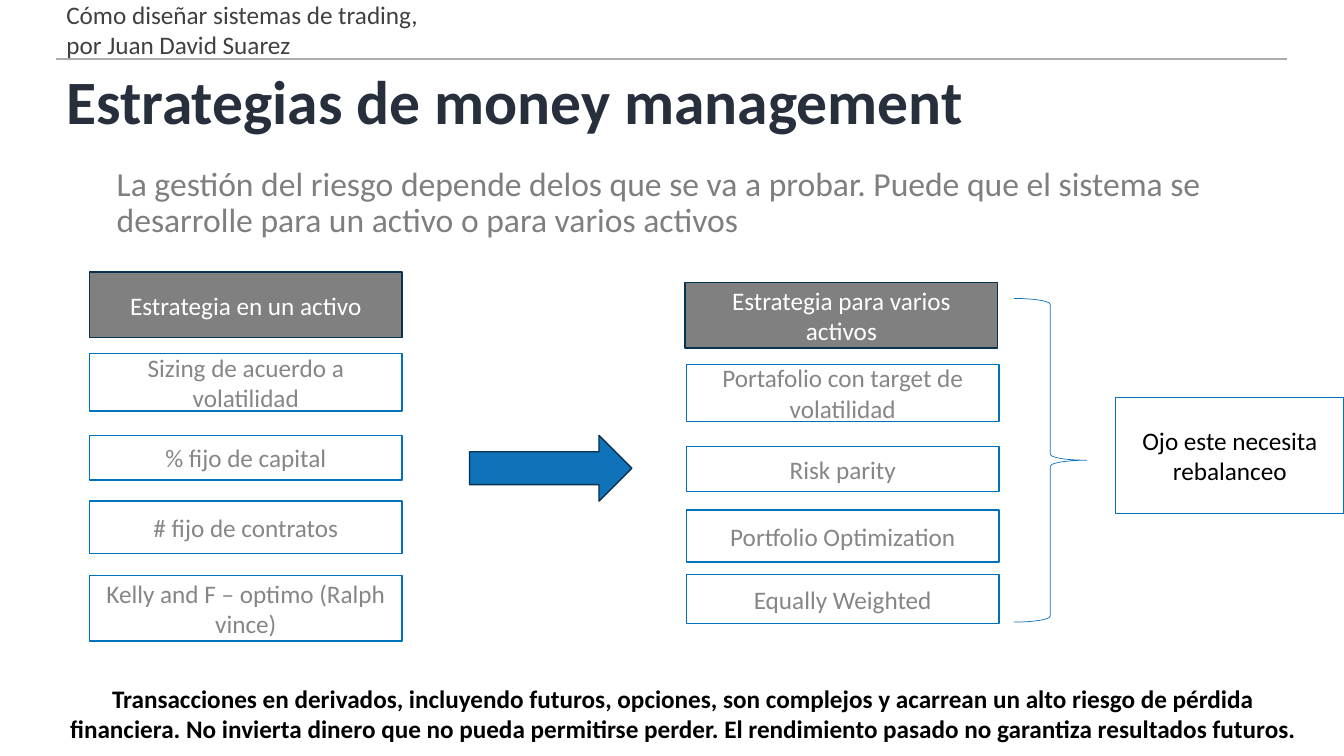
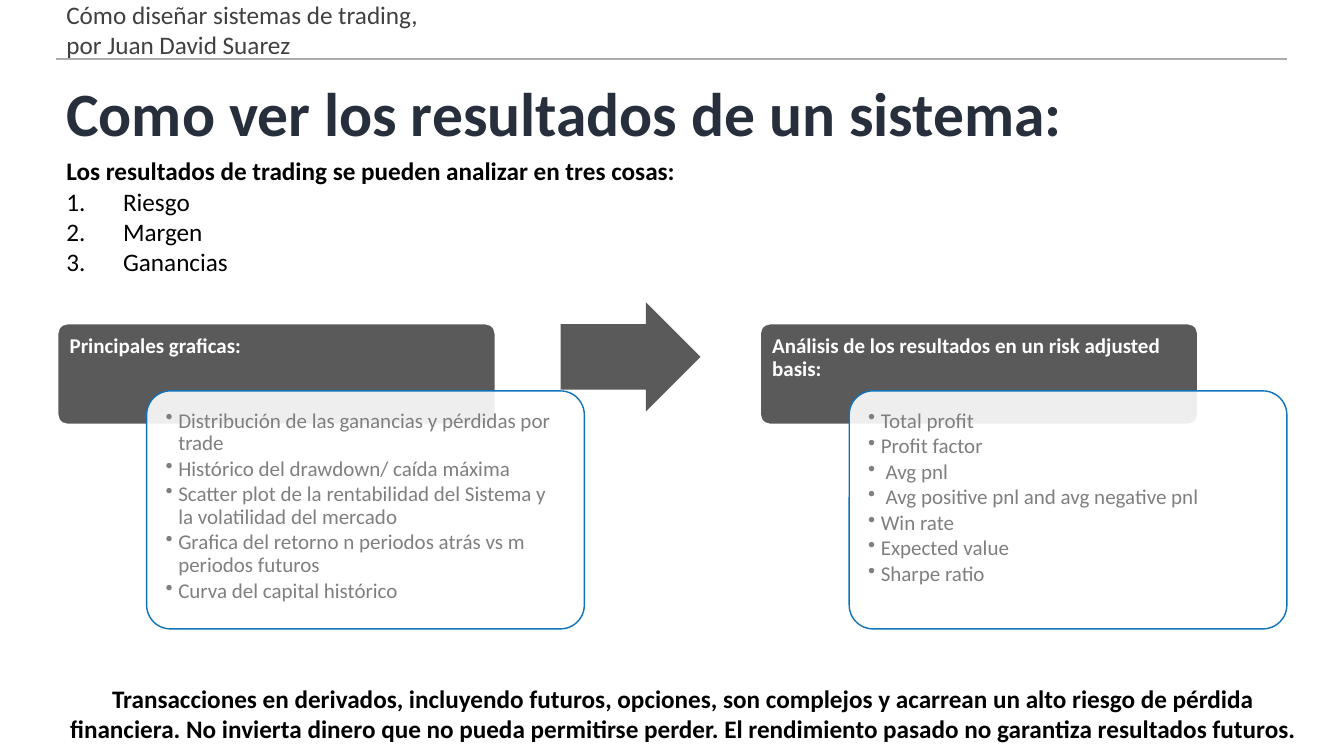
from lxml.etree import SubElement
from pptx import Presentation
from pptx.dml.color import RGBColor
from pptx.enum.shapes import MSO_CONNECTOR, MSO_SHAPE
from pptx.enum.text import MSO_ANCHOR, PP_ALIGN
from pptx.oxml.ns import qn
from pptx.util import Pt

FONT = "Calibri"
BLACK, WHITE = "000000", "FFFFFF"
HEADER_GRAY, RULE_GRAY, TITLE_NAVY = "404040", "AFABAB", "262F3B"
BODY_GRAY, LABEL_GRAY, HEADING_GRAY, CARD_GRAY = "7F7F7F", "868686", "808080", "5A5A5A"
OUTLINE_BLUE, ACCENT_BLUE, DARK_BLUE = "0071BD", "1073BA", "073252"
LEFT, CONTENT_WIDTH = 40.3, 878.4

HEADER = "Cómo diseñar sistemas de trading, por Juan David Suarez"
DISCLAIMER = (
    "Transacciones en derivados, incluyendo futuros, opciones, son complejos y acarrean "
    "un alto riesgo de pérdida financiera. No invierta dinero que no pueda permitirse "
    "perder. El rendimiento pasado no garantiza resultados futuros."
)

MONEY_TITLE = "Estrategias de money management"
MONEY_INTRO = (
    "La gestión del riesgo depende delos que se va a probar. Puede que el sistema "
    "se desarrolle para un activo o para varios activos"
)
STRATEGY_WIDTH, STRATEGY_HEADING_HEIGHT = 223.2, 46.8
# Each strategy: label, top, height
STRATEGIES = [
    {
        "heading": "Estrategia en un activo", "heading_at": (64, 194.4), "left": 64,
        "items": [
            ("Sizing de acuerdo a volatilidad", 252.6, 41),
            ("% fijo de capital", 311, 32),
            ("# fijo de contratos", 358, 37.4),
            ("Kelly and F – optimo (Ralph vince)", 411, 46.8),
        ],
    },
    {
        "heading": "Estrategia para varios activos", "heading_at": (489.4, 201.8), "left": 490.4,
        "items": [
            ("Portafolio con target de volatilidad", 260.2, 41),
            ("Risk parity", 319, 32),
            ("Portfolio Optimization", 364.2, 37.4),
            ("Equally Weighted", 410.4, 35),
        ],
    },
]
REBALANCE_NOTE = "Ojo este necesita rebalanceo"

RESULTS_TITLE = "Como ver los resultados de un sistema:"
RESULTS_INTRO = "Los resultados de trading se pueden analizar en tres cosas:"
RESULTS_ASPECTS = ["Riesgo", "Margen", "Ganancias"]
RESULT_CARDS = [
    ("Principales graficas:", [
        "Distribución de las ganancias y pérdidas por trade",
        "Histórico del drawdown/ caída máxima",
        "Scatter plot de la rentabilidad del Sistema y la volatilidad del mercado",
        "Grafica del retorno n periodos atrás vs m periodos futuros",
        "Curva del capital histórico",
    ]),
    ("Análisis de los resultados en un risk adjusted basis:", [
        "Total profit",
        "Profit factor",
        " Avg pnl",
        " Avg positive pnl and avg negative pnl",
        "Win rate",
        "Expected value",
        "Sharpe ratio",
    ]),
]
CARD_TOP, CARD_WIDTH, CARD_PITCH = 231.2, 312.6, 501.8
CARD_HEAD_HEIGHT, CARD_LIST_HEIGHT = 72, 170
LIST_SHIFT_X, LIST_SHIFT_Y = 63.6, 48


def color(hex_string):
    return RGBColor.from_string(hex_string)


def set_frame(shape, anchor, insets=(7.2, 3.6, 7.2, 3.6)):
    frame = shape.text_frame
    frame.word_wrap = True
    frame.vertical_anchor = anchor
    frame.margin_left, frame.margin_top, frame.margin_right, frame.margin_bottom = map(Pt, insets)
    return frame


def write(frame, texts, size, hex_color, bold=False, align=PP_ALIGN.LEFT,
          spacing=None, after=0, marker=None, hang=0):
    """Write one paragraph per text, after any already there.

    marker is a bullet character, or "1." for automatic numbers.
    """
    for text in texts:
        first = frame.paragraphs[0]
        para = frame.add_paragraph() if first.runs else first
        para.alignment = align
        if spacing:
            para.line_spacing = spacing
        para.space_after = Pt(after)
        if marker:
            properties = para._p.get_or_add_pPr()
            properties.set("marL", str(Pt(hang)))
            properties.set("indent", str(-Pt(hang)))
            if marker == "1.":
                SubElement(properties, qn("a:buAutoNum"), type="arabicPeriod")
            else:
                SubElement(properties, qn("a:buChar"), char=marker)
        span = para.add_run()
        span.text = text
        span.font.name = FONT
        span.font.size = Pt(size)
        span.font.bold = bold
        span.font.color.rgb = color(hex_color)


def add_text(page, place, anchor=MSO_ANCHOR.MIDDLE):
    return set_frame(page.shapes.add_textbox(*map(Pt, place)), anchor)


def add_shape(page, kind, place, fill=None, line=None, line_width=1):
    shape = page.shapes.add_shape(kind, *map(Pt, place))
    shape.shadow.inherit = False
    if fill:
        shape.fill.solid()
        shape.fill.fore_color.rgb = color(fill)
    else:
        shape.fill.background()
    if line:
        shape.line.color.rgb = color(line)
        shape.line.width = Pt(line_width)
    else:
        shape.line.fill.background()
    return shape


def add_label_box(page, text, place, text_color, line, fill=None):
    box = add_shape(page, MSO_SHAPE.RECTANGLE, place, fill, line)
    write(set_frame(box, MSO_ANCHOR.MIDDLE), [text], 18, text_color, align=PP_ALIGN.CENTER)


def add_page(deck, title, title_height):
    """Add a slide with the shared header, rule, disclaimer and title."""
    page = deck.slides.add_slide(deck.slide_layouts[6])
    rule = page.shapes.add_connector(MSO_CONNECTOR.STRAIGHT, Pt(LEFT), Pt(42.4), Pt(919.4), Pt(42.4))
    rule.line.color.rgb = color(RULE_GRAY)
    rule.line.width = Pt(1.5)
    SubElement(rule._element.spPr, qn("a:effectLst"))
    write(add_text(page, (LEFT, 8.6, 283, 24.4)), [HEADER], 18, HEADER_GRAY)
    write(add_text(page, (LEFT, 486.8, 895.6, 45.4)), [DISCLAIMER], 18, BLACK,
          bold=True, align=PP_ALIGN.CENTER)
    write(add_text(page, (LEFT, 46, CONTENT_WIDTH, title_height)), [title], 44, TITLE_NAVY,
          bold=True, spacing=0.9)
    return page


def build_money_page(deck):
    page = add_page(deck, MONEY_TITLE, 57)
    intro = add_text(page, (LEFT + 36, 116, CONTENT_WIDTH - 36, 60), MSO_ANCHOR.TOP)
    write(intro, [MONEY_INTRO], 24, BODY_GRAY, spacing=0.9)
    for strategy in STRATEGIES:
        add_label_box(page, strategy["heading"],
                      (*strategy["heading_at"], STRATEGY_WIDTH, STRATEGY_HEADING_HEIGHT),
                      WHITE, DARK_BLUE, HEADING_GRAY)
        for label, top, height in strategy["items"]:
            add_label_box(page, label, (strategy["left"], top, STRATEGY_WIDTH, height),
                          LABEL_GRAY, OUTLINE_BLUE)
    add_shape(page, MSO_SHAPE.RIGHT_BRACE, (724.3, 213.2, 51.8, 231.2),
              line=ACCENT_BLUE, line_width=0.5)
    add_label_box(page, REBALANCE_NOTE, (797, 283.8, 163, 82.8), BLACK, OUTLINE_BLUE)
    add_shape(page, MSO_SHAPE.RIGHT_ARROW, (335.4, 311, 116, 47), ACCENT_BLUE, DARK_BLUE)


def add_result_card(page, left, heading, items):
    head = add_shape(page, MSO_SHAPE.ROUNDED_RECTANGLE,
                     (left, CARD_TOP, CARD_WIDTH, CARD_HEAD_HEIGHT), CARD_GRAY, WHITE)
    head.adjustments[0] = 0.1
    write(set_frame(head, MSO_ANCHOR.TOP, (6.5, 6.5, 6.5, 4)), [heading], 15, WHITE,
          bold=True, spacing=0.9)
    panel = add_shape(page, MSO_SHAPE.ROUNDED_RECTANGLE,
                      (left + LIST_SHIFT_X, CARD_TOP + LIST_SHIFT_Y, CARD_WIDTH, CARD_LIST_HEIGHT),
                      WHITE, ACCENT_BLUE)
    panel.adjustments[0] = 0.1
    fill_color = panel._element.spPr.find(qn("a:solidFill")).find(qn("a:srgbClr"))
    SubElement(fill_color, qn("a:alpha"), val="90000")
    write(set_frame(panel, MSO_ANCHOR.TOP, (8.6,) * 4), items, 15, BODY_GRAY,
          spacing=0.9, after=2, marker="•", hang=9)


def build_results_page(deck):
    page = add_page(deck, RESULTS_TITLE, 74.2)
    for index, (heading, items) in enumerate(RESULT_CARDS):
        add_result_card(page, 41.2 + index * CARD_PITCH, heading, items)
    arrow = add_shape(page, MSO_SHAPE.RIGHT_ARROW, (400.4, 216, 100, 78), CARD_GRAY)
    arrow.adjustments[0] = 0.6
    summary = add_text(page, (LEFT, 104.4, 864.8, 100))
    write(summary, [RESULTS_INTRO], 18, BLACK, bold=True)
    write(summary, RESULTS_ASPECTS, 18, BLACK, marker="1.", hang=40.5)


def main():
    deck = Presentation()
    deck.slide_width, deck.slide_height = Pt(960), Pt(540)
    build_money_page(deck)
    build_results_page(deck)
    deck.save("out.pptx")


if __name__ == "__main__":
    main()
